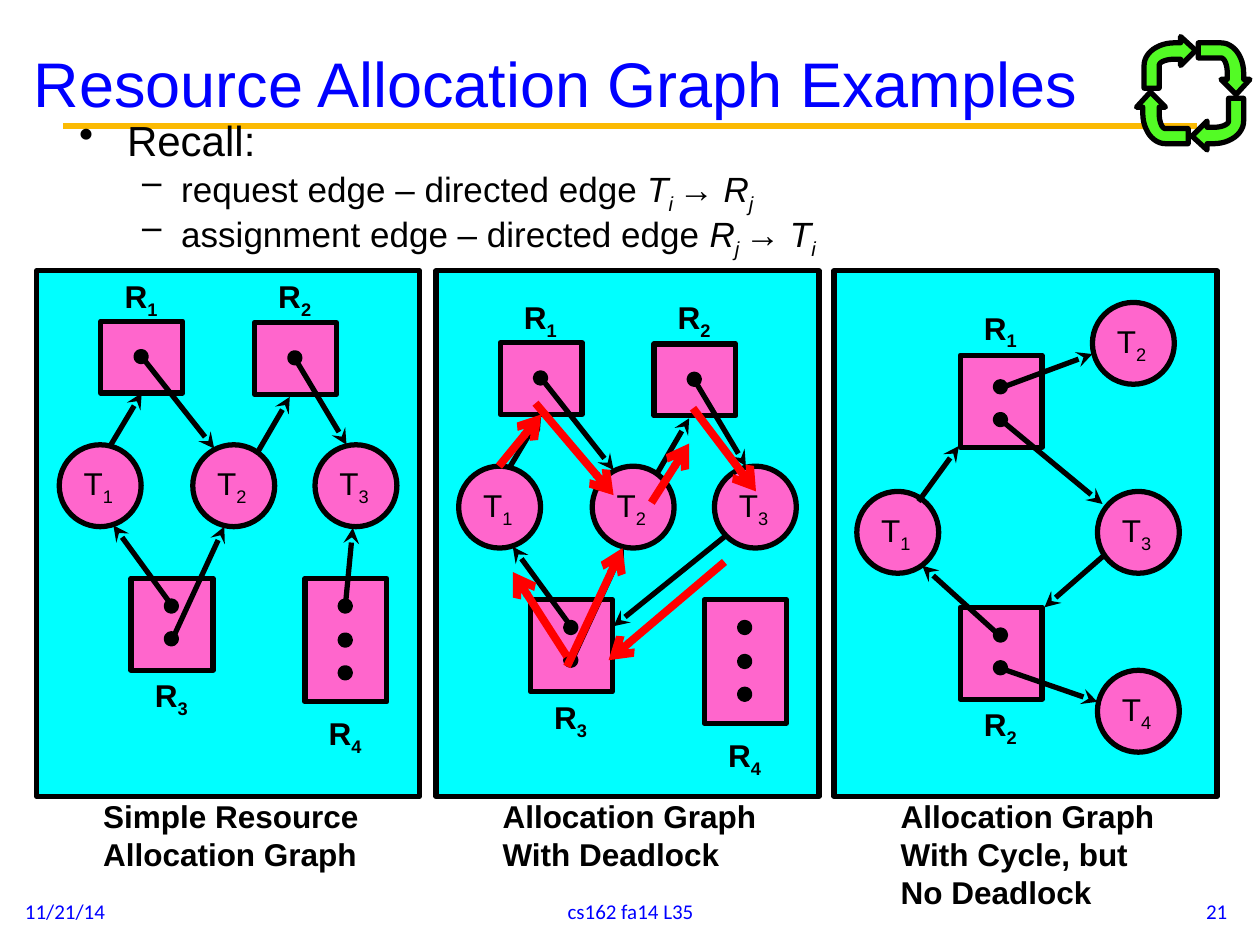
"""Build a slide of three resource allocation graphs."""
from math import cos, pi, sin
from lxml import etree
from pptx import Presentation
from pptx import util as u
from pptx.dml.color import RGBColor
from pptx.enum import shapes, text
from pptx.oxml.ns import qn

PX = 9144
HUES = {"black": "000000", "blue": "0000FF", "cyan": "00FFFF", "pink": "FF66CC",
        "red": "FF0000", "gold": "FBBA03", "green": "53FB25"}
OVAL, RECT = shapes.MSO_SHAPE.OVAL, shapes.MSO_SHAPE.RECTANGLE
LEFT, MID, RIGHT = text.PP_ALIGN.LEFT, text.PP_ALIGN.CENTER, text.PP_ALIGN.RIGHT

deck = Presentation()
deck.slide_width, deck.slide_height = 1000 * PX, 750 * PX
slide = deck.slides.add_slide(deck.slide_layouts[6])
items = slide.shapes


def write(shape, words, size, hue="black", face="Arial", bold=False, align=LEFT):
    """Set text, with | around italic parts and _ around subscripts."""
    frame = shape.text_frame
    frame.text = words
    for para in frame.paragraphs:
        para.alignment = align
        line = para.text
        if "_" in line:
            para.clear()
            for i, part in enumerate(line.split("|")):
                for j, piece in enumerate(part.split("_")):
                    run = para.add_run()
                    run.text = piece
                    run.font.italic = i % 2 == 1
                    if j % 2:
                        run._r.get_or_add_rPr().set("baseline", "-25000")
        for run in para.runs:
            run.font.size, run.font.name, run.font.bold = u.Pt(size), face, bold
            run.font.color.rgb = RGBColor.from_string(HUES[hue])
    return frame


def link(ends, hue, width, head=None, rects=()):
    """Draw a line, joined to a rectangle where it meets the bottom middle."""
    line = items.add_connector(shapes.MSO_CONNECTOR.STRAIGHT, *[n * PX for n in ends])
    line.line.color.rgb = RGBColor.from_string(HUES[hue])
    line.line.width = u.Pt(width)
    if head:
        etree.SubElement(line.line._get_or_add_ln(), qn("a:tailEnd"), type=head)
    etree.SubElement(line._element.spPr, qn("a:effectLst"))
    for rect in rects:
        gap_x = abs(rect.left + rect.width / 2 - ends[2] * PX)
        gap_y = abs(rect.top + rect.height - ends[3] * PX)
        if max(gap_x, gap_y) <= PX:
            line.end_connect(rect, 2)


link((50, 100, 950, 100), "gold", 3.75)
title = items.add_textbox(17 * PX, 37 * PX, 904 * PX, 56 * PX)
frame = write(title, "Resource Allocation Graph Examples", 36, "blue")
frame.word_wrap, frame.vertical_anchor = True, text.MSO_ANCHOR.MIDDLE

tasks = [("T_1", 47, 353), ("T_2", 153, 353), ("T_3", 250, 353)]
stores = [("R_1", 80, 255, 57, 215, [279]),
          ("R_2", 202, 256, 57, 215, [280]),
          ("R_3", 104, 459, 73, 532, [477, 503]),
          ("R_4", 242, 459, 98, 562, [477, 504, 530])]
edges = [(88, 353, 112, 313), (114, 285, 170, 356), (205, 358, 230, 315),
         (235, 286, 275, 353), (136, 480, 90, 417), (137, 507, 178, 418)]
panels = [
    (29, 0, 0, tasks, stores, edges + [(274, 482, 280, 419)],
     "Simple Resource\nAllocation Graph", 71),
    (346, 317, 17, tasks, stores, edges + [(258, 409, 170, 480)],
     "Allocation Graph\vWith Deadlock", 71),
    (662, 0, 0,
     [("T_1", 680, 390), ("T_2", 867, 240), ("T_3", 871, 390), ("T_4", 871, 532)],
     [("R_2", 762, 482, 73, 555, [500, 526]), ("R_1", 762, 282, 73, 240, [303, 329])],
     [(729, 398, 761, 354), (794, 505, 732, 449), (793, 530, 871, 557),
      (876, 441, 829, 482), (794, 333, 875, 400), (794, 308, 867, 281)],
     "Allocation Graph\vWith Cycle, but\nNo Deadlock", 101)]

rects = []
for left, dx, dy, rounds, boxes, lines, note, tall in panels:
    parts = [(RECT, left, 215, 304, 417, "cyan", "")]
    parts += [(OVAL, x + dx, y + dy, 65, 65, "pink", name) for name, x, y in rounds]
    labels = [(left + 43, 628, 225, tall, note)]
    for name, x, y, high, top, dots in boxes:
        parts.append((RECT, x + dx, y + dy, 65, high, "pink", ""))
        parts += [(OVAL, x + dx + 28, dot + dy, 8, 8, "black", "") for dot in dots]
        labels.append((x + dx + 9, top + dy, 48, 40, name))
    for kind, x, y, wide, high, hue, name in parts:
        shape = items.add_shape(kind, x * PX, y * PX, wide * PX, high * PX)
        shape.shadow.inherit = False
        shape.fill.solid()
        shape.fill.fore_color.rgb = RGBColor.from_string(HUES[hue])
        shape.line.color.rgb = RGBColor.from_string(HUES["black"])
        shape.line.width = u.Pt(3)
        if name:
            write(shape, name, 18).word_wrap = False
        elif kind == RECT and hue == "pink":
            rects.append(shape)
    for x, y, wide, high, name in labels:
        label = items.add_textbox(x * PX, y * PX, wide * PX, high * PX)
        frame = write(label, name, 18, bold=True)
        frame.word_wrap = False
        frame.auto_size = text.MSO_AUTO_SIZE.SHAPE_TO_FIT_TEXT
    for x1, y1, x2, y2 in lines:
        link((x1 + dx, y1 + dy, x2 + dx, y2 + dy), "black", 3, "stealth", rects)

body = items.add_textbox(53 * PX, 94 * PX, 875 * PX, 142 * PX)
frame = write(body, "Recall:\nrequest edge – directed edge |T_i _|→ |R_j\n"
              "assignment edge – directed edge |R_j _|→ |T_i", 20)
frame.word_wrap = True
for i, para in enumerate(frame.paragraphs):
    mark, start, hang = ("–", 81, 31) if i else ("•", 38, 38)
    para.level = min(i, 1)
    para.line_spacing = 0.8
    para.space_before = u.Pt(4 if i else 0)
    props = para._p.get_or_add_pPr()
    props.set("marL", str(start * PX))
    props.set("indent", str(-hang * PX))
    etree.SubElement(props, qn("a:buChar"), char=mark)
frame.paragraphs[0].runs[0].font.size = u.Pt(24)

for ends in [(450, 529, 494, 435), (517, 399, 547, 352), (550, 324, 600, 390),
             (575, 446, 483, 524), (396, 370, 429, 328), (450, 521, 407, 454),
             (425, 320, 487, 393)]:
    link(ends, "red", 4.5, "arrow", rects)

turns = [pi / 2 * n / 12 for n in range(13)]
outer = [(24 - 24 * sin(t), 23 - 18 * cos(t)) for t in turns]
inner = [(24 - 12 * cos(t), 23 - 5 * sin(t)) for t in turns]
bend = [(41, 11), (29, 0), (29, 5), *outer, (0, 41), (12, 41), *inner, (29, 18), (29, 23)]
bend = [(round(x * PX), round(y * PX)) for x, y in bend]
for x, y, turn in [(908, 29, 0), (951, 34, 90), (902, 73, 270), (946, 78, 180)]:
    pen = items.build_freeform(*bend[0], scale=1.0)
    pen.add_line_segments(bend[1:], close=True)
    arrow = pen.convert_to_shape(x * PX, y * PX)
    arrow.rotation = turn
    arrow.shadow.inherit = False
    arrow.fill.solid()
    arrow.fill.fore_color.rgb = RGBColor.from_string(HUES["green"])
    arrow.line.color.rgb = RGBColor.from_string(HUES["black"])
    arrow.line.width = u.Pt(3)

for x, wide, words, align in [(10, 233, "11/21/14", LEFT),
                              (342, 317, "cs162 fa14 L35", MID), (751, 233, "21", RIGHT)]:
    foot = items.add_textbox(x * PX, 703 * PX, wide * PX, 40 * PX)
    frame = write(foot, words, 12, "blue", "Calibri", align=align)
    frame.word_wrap, frame.vertical_anchor = True, text.MSO_ANCHOR.MIDDLE

deck.save("out.pptx")
